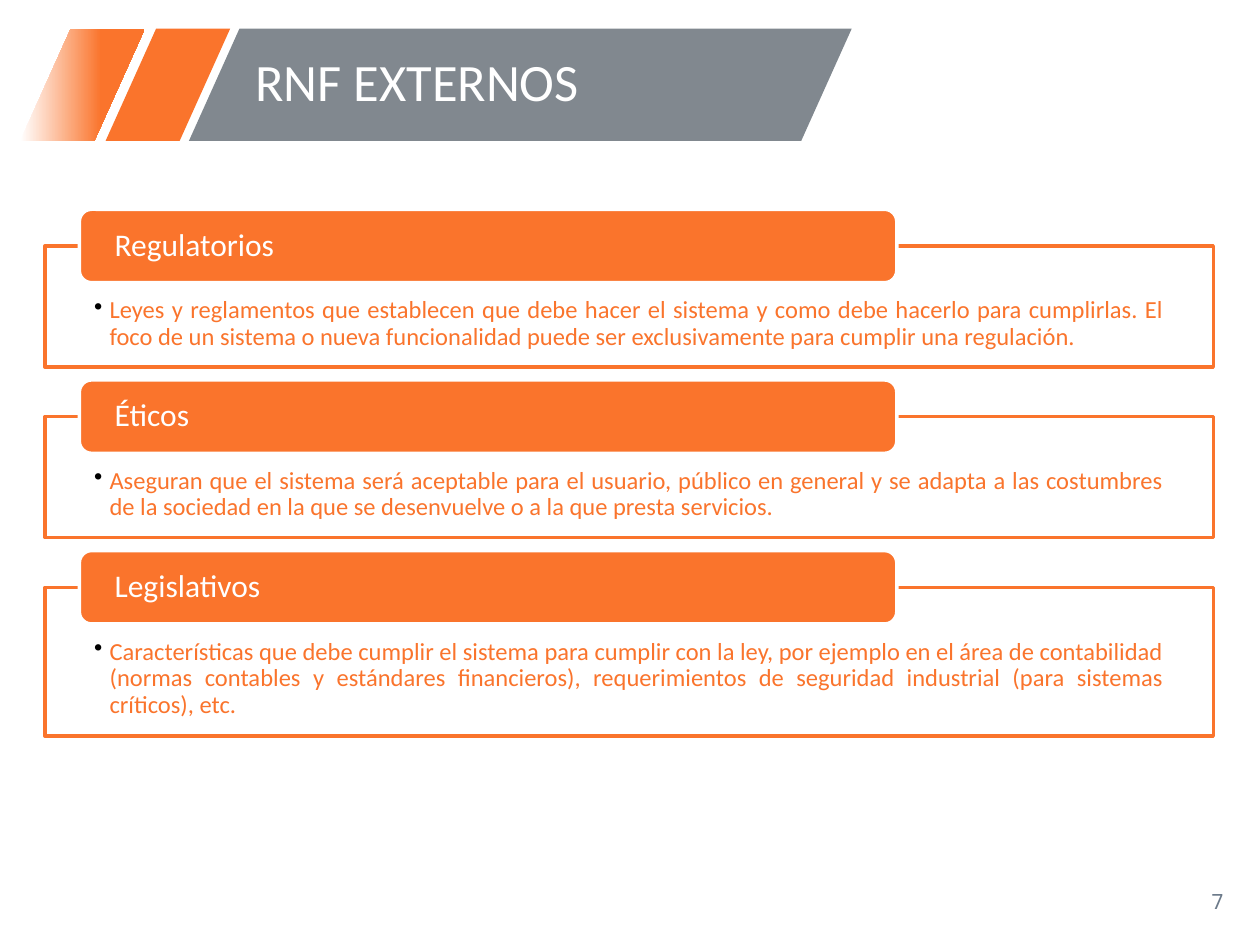
from lxml import etree
from pptx import Presentation
from pptx.dml.color import RGBColor
from pptx.enum.shapes import MSO_SHAPE
from pptx.enum.text import MSO_ANCHOR, PP_ALIGN
from pptx.oxml.ns import qn
from pptx.util import Cm, Pt

RECTANGLE = MSO_SHAPE.RECTANGLE
ROUNDED = MSO_SHAPE.ROUNDED_RECTANGLE
PARALLELOGRAM = MSO_SHAPE.PARALLELOGRAM
TOP, MIDDLE = MSO_ANCHOR.TOP, MSO_ANCHOR.MIDDLE
LEFT, RIGHT, JUSTIFY = PP_ALIGN.LEFT, PP_ALIGN.RIGHT, PP_ALIGN.JUSTIFY

ORANGE = RGBColor(0xFA, 0x74, 0x2C)
GRAY = RGBColor(0x81, 0x88, 0x8F)
SLATE = RGBColor(0x6C, 0x7A, 0x8A)
WHITE = RGBColor(0xFF, 0xFF, 0xFF)
BLACK = RGBColor(0, 0, 0)

BANNER_TOP, BANNER_HEIGHT = 0.58, 2.26
FIRST_PANEL_TOP, PANEL_GAP = 4.96, 1
TAB_RISE = 0.74

CATEGORIES = [
    ("Regulatorios", 2.44,
     "Leyes y reglamentos que establecen que debe hacer el sistema y como debe "
     "hacerlo para cumplirlas. El foco de un sistema o nueva funcionalidad puede "
     "ser exclusivamente para cumplir una regulación."),
    ("Éticos", 2.44,
     "Aseguran que el sistema será aceptable para el usuario, público en general "
     "y se adapta a las costumbres de la sociedad en la que se desenvuelve o a la "
     "que presta servicios."),
    ("Legislativos", 3,
     "Características que debe cumplir el sistema para cumplir con la ley, por "
     "ejemplo en el área de contabilidad (normas contables y estándares "
     "financieros), requerimientos de seguridad industrial (para sistemas "
     "críticos), etc."),
]


class SlideBuilder:
    font_name = "Calibri"

    def __init__(self, slide):
        self.slide = slide

    def shape(self, kind, box, fill, line=None):
        shape = self.slide.shapes.add_shape(kind, *map(Cm, box))
        shape.shadow.inherit = False
        shape.fill.solid()
        shape.fill.fore_color.rgb = fill
        if line is None:
            shape.line.fill.background()
        else:
            shape.line.color.rgb = line
            shape.line.width = Pt(2)
        return shape

    def stripe(self, left, width, fill):
        stripe = self.shape(
            PARALLELOGRAM, (left, BANNER_TOP, width, BANNER_HEIGHT), fill)
        stripe.adjustments[0] = 0.45
        return stripe

    def fading_stripe(self, left, width):
        fill = self.stripe(left, width, ORANGE).fill
        fill.gradient()
        fill.gradient_angle = 0
        for stop, position, color in zip(
                fill.gradient_stops, (0, 0.65), (WHITE, ORANGE)):
            stop.position = position
            stop.color.rgb = color

    def set_text(self, shape, text, size, color, align, anchor, insets,
                 bullet=False, font_name=font_name, spacing=0.9):
        frame = shape.text_frame
        left, top, right, bottom = map(Cm, insets)
        frame_format = {
            "word_wrap": True, "vertical_anchor": anchor,
            "margin_left": left, "margin_top": top,
            "margin_right": right, "margin_bottom": bottom,
        }
        paragraph = frame.paragraphs[0]
        paragraph.text = text
        if bullet:
            self.add_bullet(paragraph)
        paragraph_format = {"alignment": align, "line_spacing": spacing}
        font_format = {"name": font_name, "size": Pt(size)}
        for target, values in ((frame, frame_format),
                               (paragraph, paragraph_format),
                               (paragraph.font, font_format)):
            for name, value in values.items():
                setattr(target, name, value)
        paragraph.font.color.rgb = color

    def add_bullet(self, paragraph):
        properties = paragraph._p.get_or_add_pPr()
        properties.set("marL", str(Cm(0.31)))
        properties.set("indent", str(-Cm(0.31)))
        bullet_color = etree.SubElement(properties, qn("a:buClr"))
        etree.SubElement(bullet_color, qn("a:srgbClr"), val=str(BLACK))
        etree.SubElement(properties, qn("a:buChar"), char="•")

    def text(self, box, text, size, color, align, **style):
        textbox = self.slide.shapes.add_textbox(*map(Cm, box))
        self.set_text(textbox, text, size, color, align, MIDDLE,
                      (0.25, 0.13, 0.25, 0.13), **style)

    def category(self, top, height, heading, description):
        panel = self.shape(RECTANGLE, (0.91, top, 23.55, height), WHITE, ORANGE)
        panel_color = panel.fill._xPr.find(qn("a:solidFill"))[0]
        etree.SubElement(panel_color, qn("a:alpha"), val="90000")
        self.set_text(panel, description, 14, ORANGE, JUSTIFY, TOP,
                      (0.99, 1.04, 0.99, 0.28), bullet=True)
        tab = self.shape(ROUNDED, (1.6, top - TAB_RISE, 16.48, 1.48),
                         ORANGE, WHITE)
        self.set_text(tab, heading, 18, WHITE, JUSTIFY, MIDDLE,
                      (0.64, 0, 0.64, 0))


def main():
    deck = Presentation()
    deck.slide_width, deck.slide_height = Cm(25.4), Cm(19.05)
    builder = SlideBuilder(deck.slides.add_slide(deck.slide_layouts[6]))

    builder.stripe(2.13, 2.51, ORANGE)
    builder.fading_stripe(0.41, 2.51)
    builder.stripe(3.81, 13.36, GRAY)
    builder.text((19.2, 17.65, 5.72, 1.02), "7", 12, SLATE, RIGHT,
                 font_name="Noto Sans Mono", spacing=1)
    builder.text((4.9, BANNER_TOP, 11.91, BANNER_HEIGHT),
                 "RNF EXTERNOS", 30, WHITE, LEFT)

    top = FIRST_PANEL_TOP
    for heading, height, description in CATEGORIES:
        builder.category(top, height, heading, description)
        top += height + PANEL_GAP

    deck.save("out.pptx")


if __name__ == "__main__":
    main()
